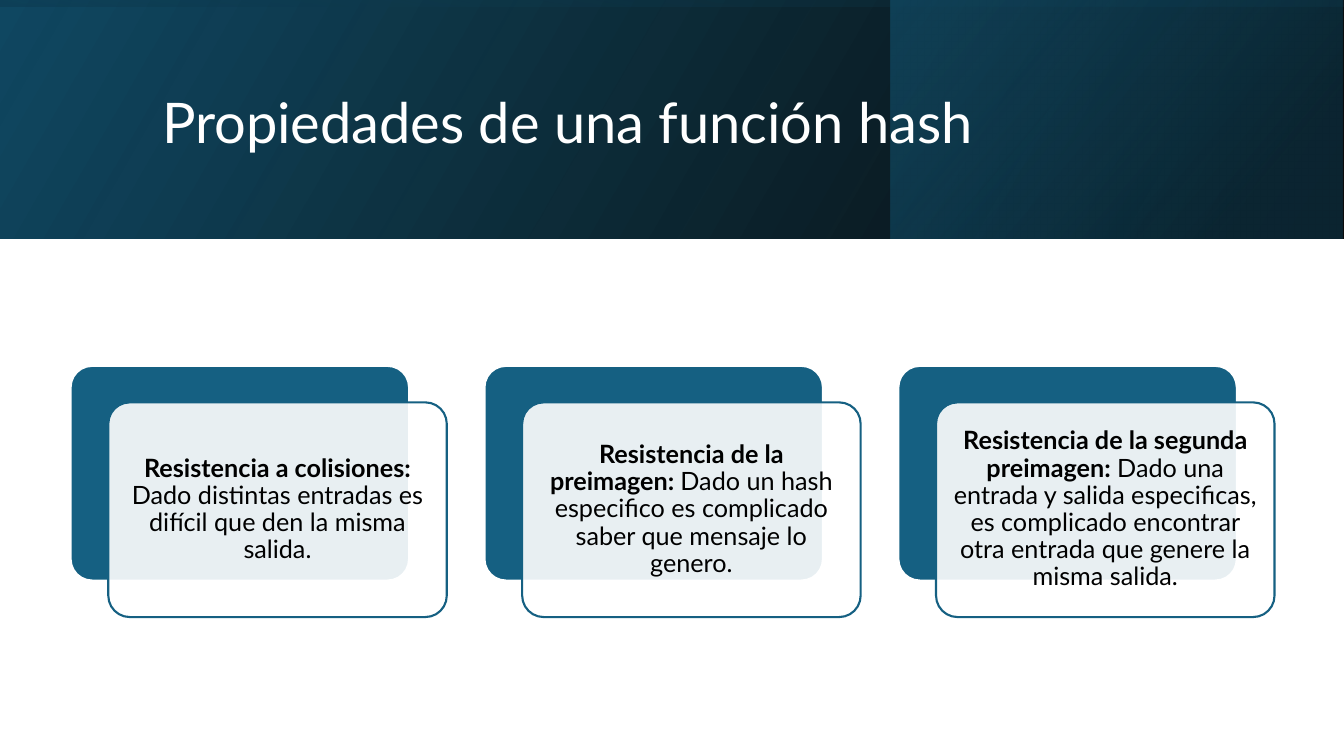
from lxml.etree import SubElement
from pptx import Presentation
from pptx.dml.color import RGBColor
from pptx.enum.shapes import MSO_SHAPE
from pptx.enum.text import MSO_ANCHOR, PP_ALIGN
from pptx.oxml.ns import qn
from pptx.util import Cm, Pt

# Content
TITLE = "Propiedades de una función hash"
PROPERTIES = [
    ("Resistencia a colisiones: ",
     "Dado distintas entradas es difícil que den la misma salida."),
    ("Resistencia de la preimagen: ",
     "Dado un hash especifico es complicado saber que mensaje lo genero."),
    ("Resistencia de la segunda preimagen:",
     " Dado una entrada y salida especificas, es complicado encontrar "
     "otra entrada que genere la misma salida."),
]
FONT, BLUE, WHITE, BLACK = "Lato", "156082", "FFFFFF", "000000"

# Measures in centimetres
SLIDE_W, SLIDE_H = 33.87, 19.05
BAND_H = 6.02
CARD_W, CARD_H, CARD_PITCH = 8.53, 5.41, 10.43
CARD_LEFT, CARD_TOP = 1.78, 9.22
FRONT_DX, FRONT_DY = 0.95, 0.92

# Header layers: box, rotation, angle, stops of (position, colour, opacity)
HEADER_LAYERS = [
    ((0, 0, SLIDE_W, BAND_H), 0, 30,
     [(0, BLACK, 96), (1, "104862", 100)]),
    ((22.45, 0, 11.38, BAND_H), 0, 40,
     [(0.19, "0B3041", 68), (1, BLUE, 48)]),
    (((SLIDE_W - BAND_H) / 2, (BAND_H - SLIDE_W) / 2, BAND_H, SLIDE_W), 270, 10,
     [(0.23, "104862", 16), (0.99, BLACK, 45)]),
]


def color(hex_code):
    return RGBColor.from_string(hex_code)


def set_opacity(shape, percents):
    fill_colors = shape._element.spPr.iter(qn("a:srgbClr"))
    for fill_color, percent in zip(list(fill_colors), percents):
        if percent < 100:
            SubElement(fill_color, qn("a:alpha"), val=str(percent * 1000))


def add_box(slide, kind, box):
    shape = slide.shapes.add_shape(kind, *map(Cm, box))
    shape.shadow.inherit = False
    return shape


def add_header_layer(slide, box, rotation, angle, stops):
    layer = add_box(slide, MSO_SHAPE.RECTANGLE, box)
    layer.rotation = rotation
    layer._element.spPr.find(qn("a:xfrm")).set("flipH", "1")
    layer.line.fill.background()
    layer.fill.gradient()
    layer.fill.gradient_angle = angle
    for stop, (position, hex_code, _) in zip(layer.fill.gradient_stops, stops):
        stop.position = position
        stop.color.rgb = color(hex_code)
    set_opacity(layer, [opacity for _, _, opacity in stops])


def add_card(slide, box, fill, line, opacity=100):
    card = add_box(slide, MSO_SHAPE.ROUNDED_RECTANGLE, box)
    card.adjustments[0] = 0.1
    card.fill.solid()
    card.fill.fore_color.rgb = color(fill)
    set_opacity(card, [opacity])
    card.line.color.rgb = color(line)
    card.line.width = Pt(1.5)
    return card


def write(shape, runs, size, hex_code, align, inset):
    """Fill a shape with one paragraph of (text, bold) runs."""
    frame = shape.text_frame
    frame.word_wrap = True
    frame.vertical_anchor = MSO_ANCHOR.MIDDLE
    frame.margin_left = frame.margin_right = Cm(inset)
    frame.margin_top = frame.margin_bottom = Cm(inset)
    paragraph = frame.paragraphs[0]
    paragraph.alignment = align
    paragraph.line_spacing = 0.9
    for text, bold in runs:
        run = paragraph.add_run()
        run.text = text
        run.font.name = FONT
        run.font.size = Pt(size)
        run.font.bold = bold
        run.font.color.rgb = color(hex_code)


def main():
    deck = Presentation()
    deck.slide_width, deck.slide_height = Cm(SLIDE_W), Cm(SLIDE_H)
    slide = deck.slides.add_slide(deck.slide_layouts[6])

    # Header
    for layer in HEADER_LAYERS:
        add_header_layer(slide, *layer)
    title = slide.shapes.add_textbox(Cm(3.84), Cm(0.97), Cm(27), Cm(4.37))
    write(title, [(TITLE, False)], size=40, hex_code=WHITE,
          align=PP_ALIGN.LEFT, inset=0.25)

    # One pair of overlapping cards per property
    for column, (name, meaning) in enumerate(PROPERTIES):
        left = CARD_LEFT + column * CARD_PITCH
        add_card(slide, (left, CARD_TOP, CARD_W, CARD_H), BLUE, WHITE)
        front = add_card(
            slide, (left + FRONT_DX, CARD_TOP + FRONT_DY, CARD_W, CARD_H),
            WHITE, BLUE, opacity=90)
        write(front, [(name, True), (meaning, False)], size=18, hex_code=BLACK,
              align=PP_ALIGN.CENTER, inset=0.18)

    deck.save("out.pptx")


if __name__ == "__main__":
    main()
